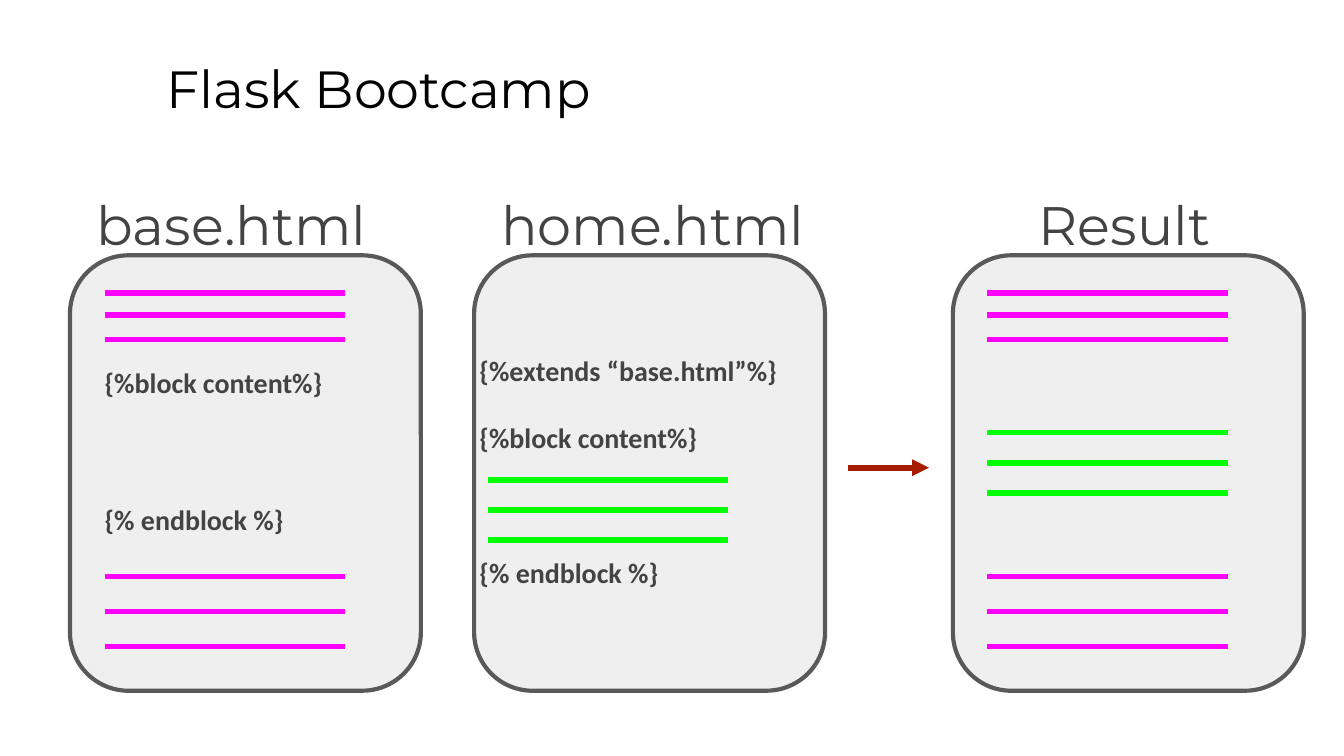
from pptx import Presentation
from pptx.dml.color import RGBColor
from pptx.enum.shapes import MSO_CONNECTOR, MSO_SHAPE
from pptx.oxml.ns import qn
from pptx.util import Pt
from lxml import etree

STRAIGHT = MSO_CONNECTOR.STRAIGHT
ROUNDED = MSO_SHAPE.ROUNDED_RECTANGLE

BLACK = RGBColor(0x00, 0x00, 0x00)
DARK = RGBColor(0x43, 0x43, 0x43)
BORDER = RGBColor(0x59, 0x59, 0x59)
PANEL = RGBColor(0xEF, 0xEF, 0xEF)
MAGENTA = RGBColor(0xFF, 0x00, 0xFF)
GREEN = RGBColor(0x00, 0xFF, 0x00)
RED = RGBColor(0xA6, 0x1C, 0x00)

prs = Presentation()
prs.slide_width, prs.slide_height = Pt(720), Pt(405)
s = prs.slides.add_slide(prs.slide_layouts[6])


def add_text(box, lines, font, size, color, bold=False, spacing=1.0):
    """Each line is a pair of text and space before it."""
    sp = s.shapes.add_textbox(*[Pt(v) for v in box])
    tf = sp.text_frame
    tf.word_wrap = True
    tf.margin_left = tf.margin_right = tf.margin_top = tf.margin_bottom = Pt(7.2)
    for i, (text, before) in enumerate(lines):
        p = tf.paragraphs[0] if i == 0 else tf.add_paragraph()
        p.text = text
        p.line_spacing = spacing
        p.space_before = Pt(before)
        f = p.runs[0].font
        f.name, f.size, f.bold = font, Pt(size), bold
        f.color.rgb = color


def add_line(x, y, width, color):
    line = s.shapes.add_connector(STRAIGHT, Pt(x), Pt(y), Pt(x + width), Pt(y))
    line.line.color.rgb = color
    line.line.width = Pt(3)
    etree.SubElement(line._element.spPr, qn("a:effectLst"))
    return line


# Title
add_text((82, 23, 613.5, 45.4), [("Flask Bootcamp", 0)], "Montserrat", 28, BLACK)

# Page panels with their headings
PANELS = [
    ("base.html", 37.5, 44.6, 173.5),
    ("home.html", 254, 261.4, 196),
    ("Result", 510.5, 549.4, 142),
]
for heading, left, text_left, text_width in PANELS:
    add_text((text_left, 90, text_width, 45.4), [(heading, 0)],
             "Montserrat", 29, DARK, spacing=1.15)
    sp = s.shapes.add_shape(ROUNDED, Pt(left), Pt(136.8), Pt(188), Pt(233.3))
    sp.shadow.inherit = False
    sp.fill.solid()
    sp.fill.fore_color.rgb = PANEL
    sp.line.color.rgb = BORDER
    sp.line.width = Pt(2.25)

# Template tags
add_text((49, 185.8, 204.5, 124.6),
         [("{%block content%}", 0), ("{% endblock %}", 53)],
         "Calibri", 15, DARK, bold=True, spacing=1.15)
add_text((249.8, 182.2, 234.7, 124.6),
         [("{%extends “base.html”%}", 0), ("{%block content%}", 18),
          ("{% endblock %}", 54)],
         "Calibri", 15, DARK, bold=True)

# Content lines: magenta from the base page, green from the home page
BASE_ROWS = [157, 168.8, 182, 308.8, 327.6, 346.4]
GREEN_GAP = 16.1
LINE_GROUPS = [
    (56, BASE_ROWS, MAGENTA),
    (529, BASE_ROWS, MAGENTA),
    (261.2, [257 + i * GREEN_GAP for i in range(3)], GREEN),
    (529, [231.8 + i * GREEN_GAP for i in range(3)], GREEN),
]
for x, rows, color in LINE_GROUPS:
    for y in rows:
        add_line(x, y, 129, color)

# Arrow to the result
arrow = add_line(454.3, 250.6, 43.4, RED)
etree.SubElement(arrow.line._get_or_add_ln(), qn("a:tailEnd"), type="triangle")

prs.save("out.pptx")
